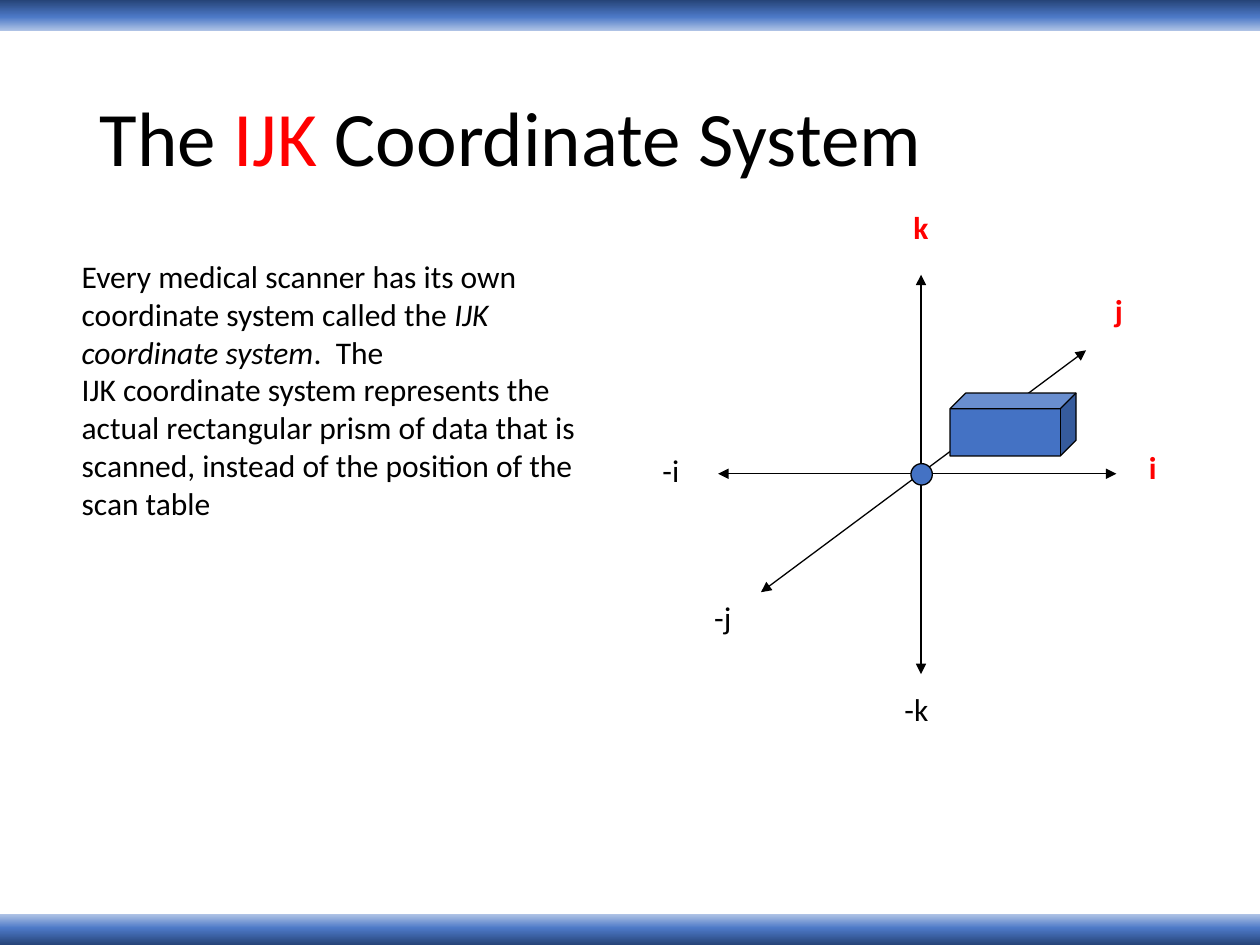
from copy import deepcopy
from dataclasses import dataclass

from lxml.etree import SubElement
from pptx import Presentation
from pptx.dml.color import RGBColor as RGB
from pptx.enum.shapes import MSO_CONNECTOR as LINK, MSO_SHAPE as SHAPE
from pptx.enum.text import MSO_ANCHOR as ANCHOR, MSO_AUTO_SIZE as FIT, PP_ALIGN as ALIGN
from pptx.oxml.ns import qn
from pptx.util import Inches, Pt


@dataclass(frozen=True)
class Theme:
    """Colours, font and sizes of the slide."""
    ink: RGB = RGB(0, 0, 0)
    red: RGB = RGB(255, 0, 0)
    blue: RGB = RGB(0x44, 0x72, 0xC4)
    fade: tuple = ((0, "B4C7E7"), (0.46, "4D79C7"), (1, "264478"))
    face: str = "Calibri"
    head: int = 44
    body: int = 18
    line: float = 0.75


@dataclass(frozen=True)
class Axis:
    """A two-way arrow between two points."""
    start: tuple
    end: tuple


@dataclass(frozen=True)
class Label:
    """The name at one end of an axis."""
    text: str
    left: float
    top: float
    width: float


LOOK = Theme()
AXES = (
    Axis((5.7, 3.76), (8.86, 3.76)),
    Axis((7.31, 5.35), (7.31, 2.18)),
    Axis((6.04, 4.7), (8.62, 2.78)),
)
LABELS = (
    Label("i", 9.02, 3.51, 0.29),
    Label("j", 8.75, 2.26, 0.31),
    Label("k", 7.15, 1.6, 0.39),
    Label("-k", 7.08, 5.43, 0.48),
    Label("-j", 5.57, 4.7, 0.4),
    Label("-i", 5.16, 3.53, 0.4),
)


def write(para, text: str, size=LOOK.body, color=LOOK.ink, bold=False, italic=False) -> None:
    """Add a formatted run to a paragraph."""
    run = para.add_run()
    run.text = text
    font = run.font
    font.name, font.size, font.bold, font.italic = LOOK.face, Pt(size), bold, italic
    font.color.rgb = color


def add_box(slide, left: float, top: float, width: float, height: float, wrap: bool):
    """Add a text box that fits its text and return its frame."""
    frame = slide.shapes.add_textbox(*map(Inches, (left, top, width, height))).text_frame
    frame.word_wrap = wrap
    frame.auto_size = FIT.SHAPE_TO_FIT_TEXT
    return frame


def add_bar(slide, top: float, turn: int) -> None:
    """Draw a full-width gradient bar."""
    bar = slide.shapes.add_shape(SHAPE.RECTANGLE, 0, Inches(top), Inches(10), Inches(0.25))
    bar.shadow.inherit = False
    bar.rotation = turn
    bar.line.fill.background()
    bar.fill.gradient()
    bar.fill.gradient_angle = 90
    stops = next(bar._element.iter(qn("a:gsLst")))
    stops.append(deepcopy(stops[-1]))
    for stop, (place, tint) in zip(bar.fill.gradient_stops, LOOK.fade):
        stop.position = place
        stop.color.rgb = RGB.from_string(tint)


def add_axis(slide, axis: Axis) -> None:
    """Draw an axis with an arrowhead at each end."""
    link = slide.shapes.add_connector(LINK.STRAIGHT, *map(Inches, axis.start + axis.end))
    link.line.color.rgb = LOOK.ink
    link.line.width = Pt(LOOK.line)
    for tag in ("a:headEnd", "a:tailEnd"):
        SubElement(link.line._get_or_add_ln(), qn(tag), type="triangle")
    SubElement(link._element.spPr, qn("a:effectLst"))


def add_solid(slide, kind: SHAPE, left: float, top: float, width: float, height: float) -> None:
    """Draw a blue shape with a thin black outline."""
    form = slide.shapes.add_shape(kind, *map(Inches, (left, top, width, height)))
    form.shadow.inherit = False
    form.fill.solid()
    form.fill.fore_color.rgb = LOOK.blue
    form.line.color.rgb = LOOK.ink
    form.line.width = Pt(LOOK.line)


def add_title(slide) -> None:
    """Place and write the title."""
    title = slide.shapes.title
    title.left, title.top, title.width, title.height = map(Inches, (0.69, 0.4, 8.62, 1.45))
    frame = title.text_frame
    frame.vertical_anchor = ANCHOR.MIDDLE
    frame.auto_size = FIT.NONE
    para = frame.paragraphs[0]
    para.alignment = ALIGN.LEFT
    para.line_spacing = 0.9
    for text, color in (("The ", LOOK.ink), ("IJK", LOOK.red), (" Coordinate System", LOOK.ink)):
        write(para, text, size=LOOK.head, color=color)


def add_body(slide) -> None:
    """Write the description."""
    frame = add_box(slide, 0.55, 1.99, 4.13, 2.22, wrap=True)
    first, second = frame.paragraphs[0], frame.add_paragraph()
    write(first, "Every medical scanner has its own coordinate system called the ")
    write(first, "IJK coordinate system", italic=True)
    write(first, ".  The")
    write(second, "IJK coordinate system represents the actual rectangular prism of data "
                  "that is scanned, instead of the position of the scan table")


def add_label(slide, label: Label) -> None:
    """Write an axis name, red and bold on the positive side."""
    plus = not label.text.startswith("-")
    frame = add_box(slide, label.left, label.top, label.width, 0.5, wrap=False)
    write(frame.paragraphs[0], label.text, color=LOOK.red if plus else LOOK.ink, bold=plus)


def main() -> None:
    """Build the slide and save it."""
    deck = Presentation()
    deck.slide_width, deck.slide_height = Inches(10), Inches(7.5)
    slide = deck.slides.add_slide(deck.slide_layouts[5])
    add_bar(slide, 0, 0)
    add_bar(slide, 7.25, 180)
    add_title(slide)
    for label in LABELS:
        add_label(slide, label)
    for axis in AXES:
        add_axis(slide, axis)
    add_solid(slide, SHAPE.OVAL, 7.23, 3.68, 0.17, 0.17)
    add_solid(slide, SHAPE.CUBE, 7.54, 3.12, 1, 0.5)
    add_body(slide)
    deck.save("out.pptx")


if __name__ == "__main__":
    main()
